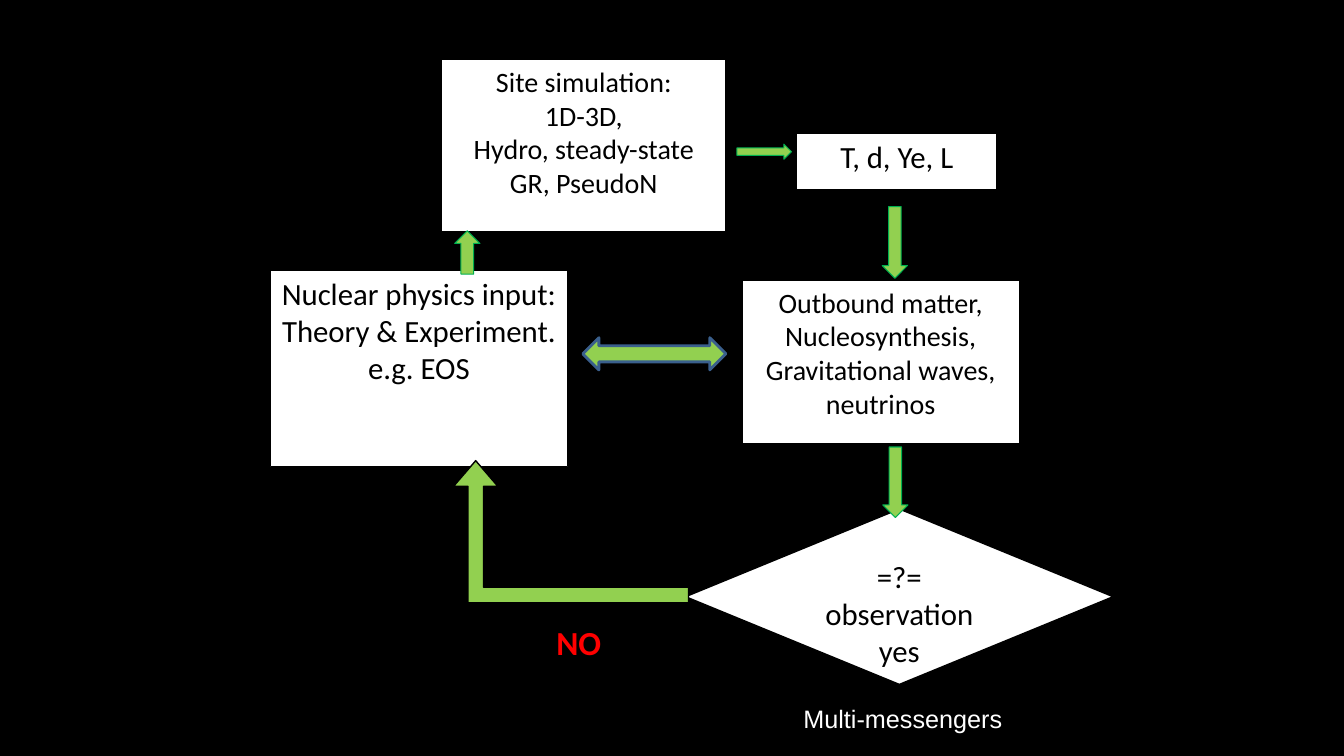
from dataclasses import dataclass

from pptx import Presentation
from pptx.dml.color import RGBColor
from pptx.enum.shapes import MSO_SHAPE
from pptx.enum.text import MSO_ANCHOR, PP_ALIGN
from pptx.util import Inches, Pt

PROCESS, DIAMOND = MSO_SHAPE.FLOWCHART_PROCESS, MSO_SHAPE.DIAMOND
RIGHT, BOTH_WAYS = MSO_SHAPE.RIGHT_ARROW, MSO_SHAPE.LEFT_RIGHT_ARROW
BENT_UP = MSO_SHAPE.BENT_UP_ARROW
TOP = MSO_ANCHOR.TOP
LEFT, CENTER = PP_ALIGN.LEFT, PP_ALIGN.CENTER


@dataclass(frozen=True)
class Theme:
    black: str = "000000"
    white: str = "FFFFFF"
    arrow: str = "92D050"
    arrow_edge: str = "00B050"
    exchange_edge: str = "3A5F8C"
    alert: str = "FF0000"
    font: str = "Calibri"
    caption_font: str = "Arial"
    caption: int = 18
    small: int = 20
    body: int = 22
    answer: int = 24


THEME = Theme()


def add_block(kind, place, fill, edge, edge_width):
    shape = page.shapes.add_shape(kind, *map(Inches, place))
    shape.shadow.inherit = False
    shape.fill.solid()
    shape.fill.fore_color.rgb = RGBColor.from_string(fill)
    shape.line.color.rgb = RGBColor.from_string(edge)
    shape.line.width = Pt(edge_width)
    return shape


def write(shape, lines, size, color=THEME.black, font=THEME.font,
          bold=False, align=CENTER, wrap=True):
    frame = shape.text_frame
    frame.word_wrap = wrap
    frame.vertical_anchor = TOP
    for index, line in enumerate(lines):
        para = frame.add_paragraph() if index else frame.paragraphs[0]
        para.alignment = align
        span = para.add_run()
        span.text = line
        span.font.size = Pt(size)
        span.font.name = font
        span.font.bold = bold
        span.font.color.rgb = RGBColor.from_string(color)


# Page
deck = Presentation()
deck.slide_width, deck.slide_height = Inches(13.33), Inches(7.5)
page = deck.slides.add_slide(deck.slide_layouts[6])
page.background.fill.solid()
page.background.fill.fore_color.rgb = RGBColor.from_string(THEME.black)

# Steps of the flow and the decision
steps = [
    (PROCESS, (4.38, 0.59, 2.82, 1.71), THEME.small,
     ["Site simulation:", "1D-3D,", "Hydro, steady-state", "GR, PseudoN"]),
    (PROCESS, (2.68, 2.68, 2.95, 1.95), THEME.body,
     ["Nuclear physics input: Theory & Experiment.", "e.g. EOS"]),
    (PROCESS, (7.9, 1.32, 1.99, 0.56), THEME.body, ["T, d, Ye, L"]),
    (PROCESS, (7.36, 2.78, 2.75, 1.62), THEME.small,
     ["Outbound matter, Nucleosynthesis,", "Gravitational waves, neutrinos"]),
    (DIAMOND, (6.8, 5.05, 4.24, 1.74), THEME.body, ["=?= observation", "yes"]),
]
for kind, place, size, lines in steps:
    write(add_block(kind, place, THEME.white, THEME.black, 1), lines, size)

# Arrows from step to step
arrows = [
    ((7.31, 1.43, 0.54, 0.15), 0),
    ((8.52, 2.28, 0.71, 0.25), 90),
    ((8.53, 4.66, 0.7, 0.25), 90),
    ((4.42, 2.38, 0.43, 0.25), 270),
]
for place, turn in arrows:
    add_block(RIGHT, place, THEME.arrow, THEME.arrow_edge, 0.75).rotation = turn

# Feedback arrow, mirrored to point up on the left
feedback = add_block(BENT_UP, (4.5, 4.57, 2.33, 1.41), THEME.arrow, THEME.black, 1)
for index, ratio in enumerate((0.11, 0.155, 0.18)):
    feedback.adjustments[index] = ratio
feedback._element.spPr.xfrm.set("flipH", "1")

# Exchange between nuclear input and outbound matter
add_block(BOTH_WAYS, (5.78, 3.35, 1.42, 0.32), THEME.arrow, THEME.exchange_edge, 2)

# Labels
answer = page.shapes.add_textbox(*map(Inches, (5.42, 6.12, 0.97, 0.49)))
write(answer, ["NO"], THEME.answer, color=THEME.alert, bold=True, align=LEFT)
caption = page.shapes.add_textbox(*map(Inches, (7.87, 6.93, 2.19, 0.4)))
write(caption, ["Multi-messengers"], THEME.caption, color=THEME.white,
      font=THEME.caption_font, align=LEFT, wrap=False)

deck.save("out.pptx")
